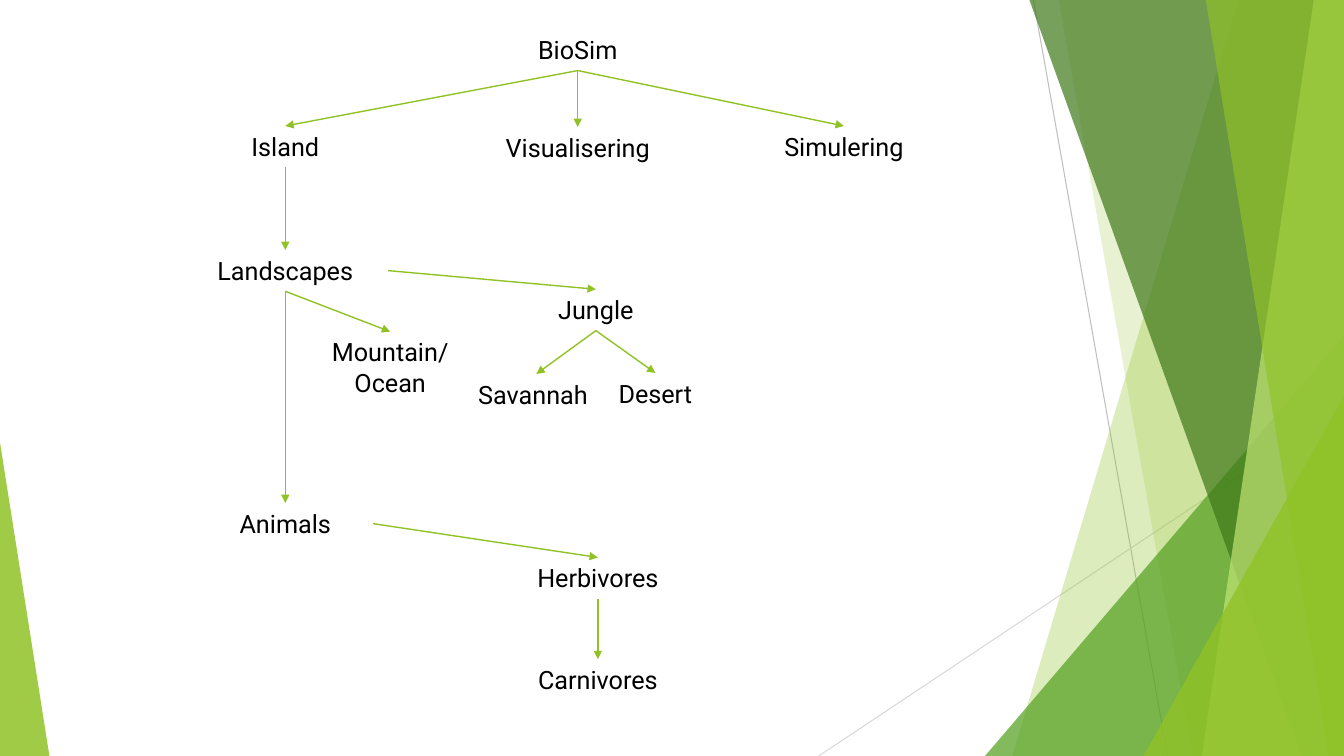
from lxml import etree
from pptx import Presentation
from pptx.dml.color import RGBColor
from pptx.enum.shapes import MSO_CONNECTOR, MSO_SHAPE
from pptx.enum.text import MSO_AUTO_SIZE, PP_ALIGN
from pptx.oxml.ns import qn
from pptx.util import Inches, Pt

STRAIGHT = MSO_CONNECTOR.STRAIGHT
TRIANGLE = MSO_SHAPE.ISOSCELES_TRIANGLE
FIT_TEXT = MSO_AUTO_SIZE.SHAPE_TO_FIT_TEXT
LEFT, CENTER = PP_ALIGN.LEFT, PP_ALIGN.CENTER

CELL = Inches(0.01)
COLUMNS, ROWS = 1333, 750
LABEL_ROWS = 41
GREEN = "90C226"

CLASSES = {
    "BioSim": (573, 29, 252),
    "Island": (283, 125, 214),
    "Visualisering": (573, 126, 185),
    "Simulering": (837, 125, 212),
    "Landscapes": (283, 248, 204),
    "Mountain/\nOcean": (387, 329, 155),
    "Jungle": (591, 287, 177),
    "Savannah": (532, 371, 135),
    "Desert": (650, 370, 118),
    "Animals": (283, 499, 174),
    "Herbivores": (593, 553, 172),
    "Carnivores": (593, 654, 192),
}
LEFT_ALIGNED = {"Savannah"}

LINKS_DOWN = [
    ("BioSim", "Island"),
    ("BioSim", "Visualisering"),
    ("BioSim", "Simulering"),
    ("Island", "Landscapes"),
    ("Landscapes", "Mountain/\nOcean"),
    ("Landscapes", "Animals"),
    ("Jungle", "Savannah"),
    ("Jungle", "Desert"),
    ("Herbivores", "Carnivores"),
]
LINKS_ACROSS = [("Landscapes", "Jungle"), ("Animals", "Herbivores")]

THIN_LINES = [
    ((1025, 0), (1158, ROWS), "BFBFBF"),
    ((COLUMNS, 403), (812, ROWS), "D9D9D9"),
]
BACK_BANDS = [(1228, 1004, GREEN, 30), (1050, 1183, GREEN, 20)]
FRONT_BANDS = [
    (1021, 1291, "3F7819", 70),
    (1303, 1192, "C0E474", 70),
    (1196, 1318, GREEN, 65),
]
BACK_CORNER = (977, 333, 356, 1, "54A021", 72)
FRONT_CORNERS = [(1134, 393, 199, 1, GREEN, 80), (0, 439, 49, 0, GREEN, 85)]


def color(hex_code):
    return RGBColor.from_string(hex_code)


def paint(shape, hex_code, opacity):
    shape.shadow.inherit = False
    shape.line.fill.background()
    shape.fill.solid()
    shape.fill.fore_color.rgb = color(hex_code)
    tint = shape.fill._xPr.find(qn("a:solidFill"))[0]
    etree.SubElement(tint, qn("a:alpha"), val=str(opacity * 1000))


def add_band(slide, top_x, bottom_x, hex_code, opacity):
    builder = slide.shapes.build_freeform(top_x, 0, scale=CELL)
    builder.add_line_segments([(COLUMNS, 0), (COLUMNS, ROWS), (bottom_x, ROWS)], close=True)
    paint(builder.convert_to_shape(), hex_code, opacity)


def add_corner(slide, left, top, width, apex, hex_code, opacity):
    corner = slide.shapes.add_shape(
        TRIANGLE, left * CELL, top * CELL, width * CELL, (ROWS - top) * CELL)
    corner.adjustments[0] = apex
    paint(corner, hex_code, opacity)


def add_line(slide, start, end, hex_code, weight, arrow=False):
    ends = [round(value * CELL) for value in (*start, *end)]
    line = slide.shapes.add_connector(STRAIGHT, *ends)
    line.line.color.rgb = color(hex_code)
    line.line.width = Pt(weight)
    if arrow:
        etree.SubElement(line.line._get_or_add_ln(), qn("a:tailEnd"), type="triangle")
    etree.SubElement(line._element.spPr, qn("a:effectLst"))


def add_text(slide, text, center, top, width, align=CENTER, size=18, font="Roboto", ink="000000"):
    box = slide.shapes.add_textbox(
        round((center - width / 2) * CELL), top * CELL, width * CELL, LABEL_ROWS * CELL)
    frame = box.text_frame
    frame.word_wrap = True
    frame.auto_size = FIT_TEXT
    frame.text = text
    for paragraph in frame.paragraphs:
        paragraph.alignment = align
        for run in paragraph.runs:
            run.font.size = Pt(size)
            run.font.name = font
            run.font.color.rgb = color(ink)


def top_of(name):
    center, top, _ = CLASSES[name]
    return center, top


def bottom_of(name):
    center, top, _ = CLASSES[name]
    return center, top + LABEL_ROWS


def right_of(name):
    center, top, width = CLASSES[name]
    return center + width / 2, top + LABEL_ROWS / 2


def main():
    deck = Presentation()
    deck.slide_width, deck.slide_height = COLUMNS * CELL, ROWS * CELL
    slide = deck.slides.add_slide(deck.slide_layouts[6])

    for start, end, hex_code in THIN_LINES:
        add_line(slide, start, end, hex_code, 0.75)
    for band in BACK_BANDS:
        add_band(slide, *band)
    add_corner(slide, *BACK_CORNER)
    for band in FRONT_BANDS:
        add_band(slide, *band)
    for corner in FRONT_CORNERS:
        add_corner(slide, *corner)

    for name, (center, top, width) in CLASSES.items():
        align = LEFT if name in LEFT_ALIGNED else CENTER
        add_text(slide, name, center, top, width, align=align)
    for parent, child in LINKS_DOWN:
        add_line(slide, bottom_of(parent), top_of(child), GREEN, 1, arrow=True)
    for parent, child in LINKS_ACROSS:
        add_line(slide, right_of(parent), top_of(child), GREEN, 1, arrow=True)

    deck.save("out.pptx")


if __name__ == "__main__":
    main()
